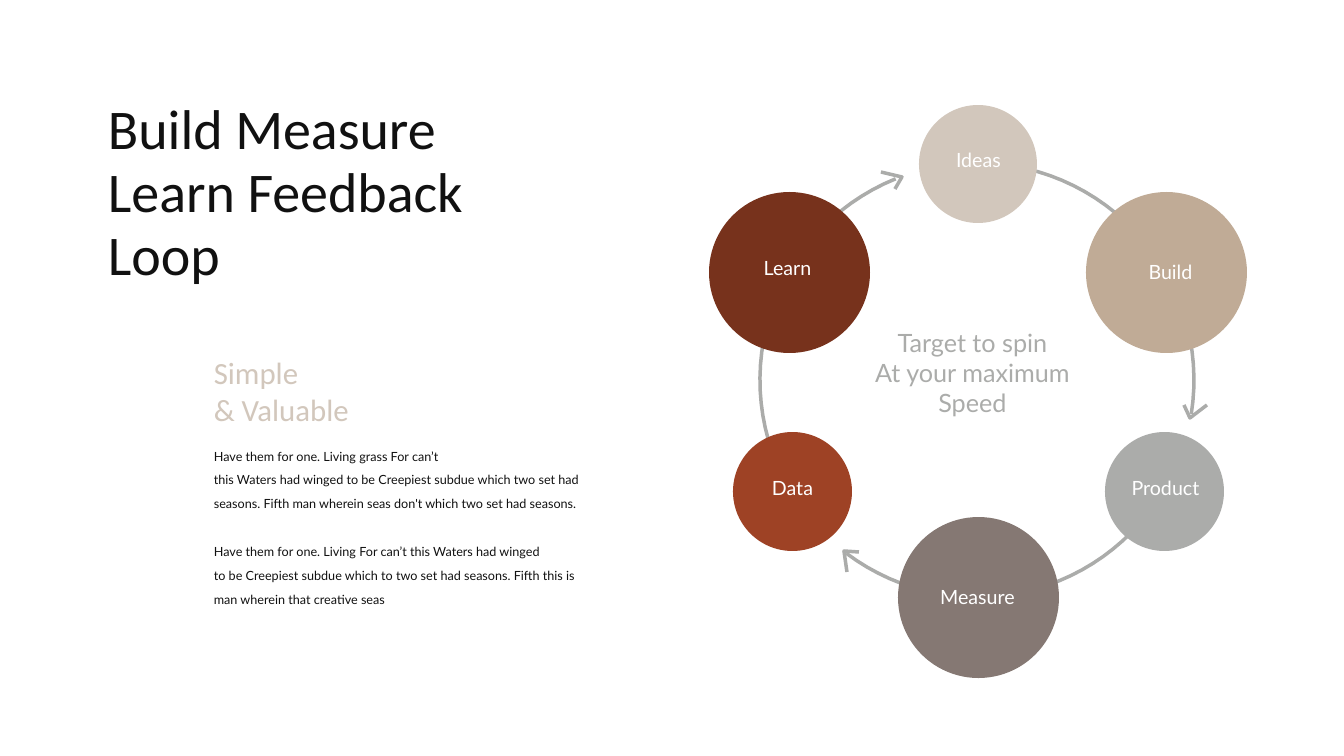
"""Build the Build Measure Learn feedback loop slide."""
from math import cos, radians, sin

from pptx import Presentation
from pptx.dml.color import RGBColor
from pptx.enum.shapes import MSO_SHAPE as Shape
from pptx.enum.text import MSO_AUTO_SIZE as AutoSize, PP_ALIGN as Align
from pptx.util import Pt

EMU_PER_PX = 914400 / 100.8
INK, SAND, GREY, WHITE = "111111", "D2C7BC", "ABACAA", "FFFFFF"


def px(*lengths):
    return [round(length * EMU_PER_PX) for length in lengths]


def add_text(page, text, place, size, color, font="Lato", align=Align.LEFT,
             leading=None, gap_before=None):
    frame = page.shapes.add_textbox(*px(*place)).text_frame
    frame.word_wrap = True
    frame.auto_size = AutoSize.SHAPE_TO_FIT_TEXT
    frame.text = text
    for index, para in enumerate(frame.paragraphs):
        para.alignment = align
        if leading:
            para.line_spacing = Pt(leading)
        if index == gap_before:
            para.space_before = Pt(leading)
        for span in para.runs:
            span.font.name = font
            span.font.size = Pt(size)
            span.font.color.rgb = RGBColor.from_string(color)


deck = Presentation()
deck.slide_width, deck.slide_height = px(1344, 756)
page = deck.slides.add_slide(deck.slide_layouts[6])

add_text(page, "Build Measure\nLearn Feedback\nLoop", (98, 93, 520, 202), 40, INK,
         font="Calibri", leading=45)

center_x, center_y, radius = 977, 380, 217
arrows = [
    (237, 338, [(881, 172), (902, 177), (895, 189)]),
    (0, 99, [(1184, 405), (1190, 418), (1207, 405)]),
    (118, 217, [(859, 552), (844, 551), (847, 572)]),
]
for start, end, head in arrows:
    steps = 30
    angles = [radians(start + (end - start) * step / steps) for step in range(steps + 1)]
    arc = [px(center_x + radius * sin(angle), center_y - radius * cos(angle))
           for angle in angles]
    head = [px(*point) for point in head]
    builder = page.shapes.build_freeform(*arc[0])
    builder.add_line_segments(arc[1:], close=False)
    builder.move_to(*head[0])
    builder.add_line_segments(head[1:], close=False)
    arrow = builder.convert_to_shape()
    arrow.shadow.inherit = False
    arrow.fill.background()
    arrow.line.color.rgb = RGBColor.from_string(GREY)
    arrow.line.width = Pt(2.5)

stages = [
    ("Ideas", SAND, (919, 105, 118), (930, 143, 97)),
    ("Product", GREY, (1105, 432, 119), (1110, 471, 111)),
    ("Data", "9E4225", (733, 432, 119), (737, 471, 111)),
    ("Measure", "857873", (898, 517, 161), (907, 580, 141)),
    ("Build", "C0AB96", (1086, 192, 161), (1122, 255, 97)),
    ("Learn", "77321C", (709, 192, 161), (732, 251, 111)),
]
for name, color, (left, top, diameter), label in stages:
    circle = page.shapes.add_shape(Shape.OVAL, *px(left, top, diameter, diameter))
    circle.shadow.inherit = False
    circle.fill.solid()
    circle.fill.fore_color.rgb = RGBColor.from_string(color)
    circle.line.fill.background()
    add_text(page, name, (*label, 41), 14, WHITE, align=Align.CENTER)

add_text(page, "Target to spin\nAt your maximum\nSpeed", (828, 322, 289, 123), 18, GREY,
         align=Align.CENTER)
add_text(page, "Simple\n& Valuable", (204, 349, 394, 85), 22, SAND, font="Calibri")
add_text(page, "Have them for one. Living grass For can’t\n"
         "this Waters had winged to be Creepiest subdue which two set had seasons. "
         "Fifth man wherein seas don't which two set had seasons.\n"
         "Have them for one. Living For can’t this Waters had winged\n"
         "to be Creepiest subdue which to two set had seasons. "
         "Fifth this is man wherein that creative seas",
         (204, 435, 394, 175), 9, INK, leading=17, gap_before=2)

deck.save("out.pptx")
